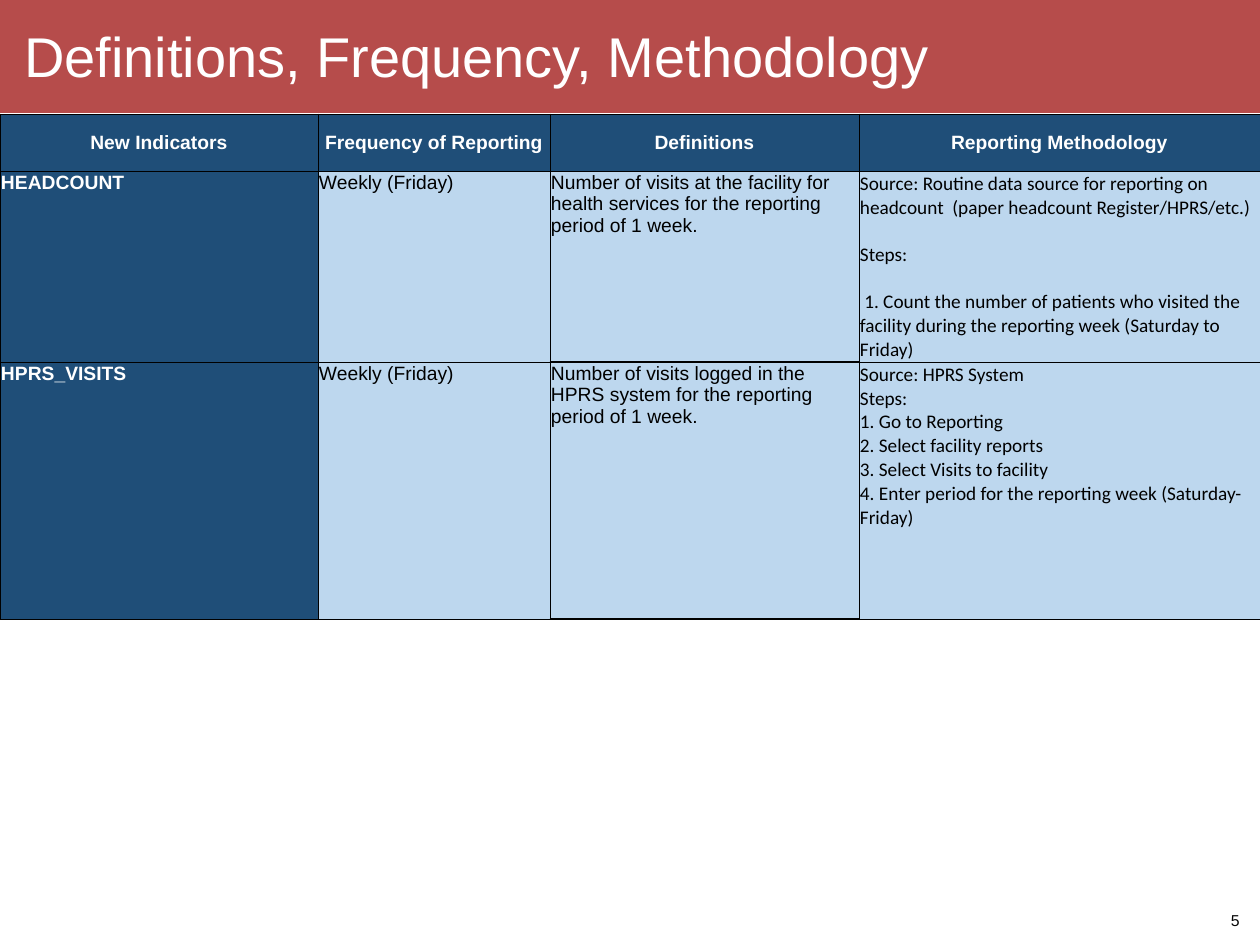
from dataclasses import dataclass

from lxml.etree import SubElement
from pptx import Presentation
from pptx.dml.color import RGBColor as RGB
from pptx.enum.shapes import MSO_SHAPE as Shape
from pptx.enum.text import MSO_ANCHOR as Anchor, PP_ALIGN as Align
from pptx.oxml.ns import qn
from pptx.util import Emu, Pt


@dataclass(frozen=True)
class Theme:
    band: str = "B64C4B"
    header: str = "1F4E78"
    body: str = "BDD7EE"
    light: str = "FFFFFF"
    dark: str = "000000"
    number: str = "060606"
    font: str = "Arial"
    method_font: str = "Calibri"
    title_size: int = 32
    table_size: int = 11
    number_size: int = 9
    step_gap: float = 13.5
    thin: float = 0.5
    thick: float = 1


T = Theme()
SLIDE_W, SLIDE_H = 1260, 945
COLUMNS = (318, 232, 309, 401)
ROWS = (57, 191, 257)
INDICATOR, FREQUENCY, DEFINITION, METHOD = range(4)
CELLS = [
    [["New Indicators"], ["Frequency of Reporting"], ["Definitions"],
     ["Reporting Methodology"]],
    [["HEADCOUNT"], ["Weekly (Friday)"],
     ["Number of visits at the facility for health services for the "
      "reporting period of 1 week."],
     ["Source: Routine data source for reporting on headcount  "
      "(paper headcount Register/HPRS/etc.)",
      "Steps:",
      " 1. Count the number of patients who visited the facility during "
      "the reporting week (Saturday to Friday)"]],
    [["HPRS_VISITS"], ["Weekly (Friday)"],
     ["Number of visits logged in the HPRS system for the reporting "
      "period of 1 week."],
     ["Source: HPRS System", "Steps:", "1. Go to Reporting",
      "2. Select facility reports", "3. Select Visits to facility",
      "4. Enter period for the reporting week (Saturday-Friday)"]],
]
SPACED_ROW = 1


def px(n):
    return Emu(round(n * 914400 / 126))


def place(sp, box):
    sp.left, sp.top, sp.width, sp.height = map(px, box)


def set_insets(target, left=0, top=0, right=0, bottom=0):
    target.margin_left, target.margin_top = px(left), px(top)
    target.margin_right, target.margin_bottom = px(right), px(bottom)


def add_run(p, text, size, color, font=T.font, bold=False):
    r = p.add_run()
    r.text = text
    r.font.name, r.font.size, r.font.bold = font, Pt(size), bold
    r.font.color.rgb = RGB.from_string(color)


def add_title(s, box, text):
    x, y, w, h = box
    title = s.shapes.title
    band = s.shapes.add_shape(Shape.RECTANGLE, *map(px, box))
    band.shadow.inherit = False
    band.fill.solid()
    band.fill.fore_color.rgb = RGB.from_string(T.band)
    band.line.fill.background()
    title.element.addprevious(band.element)
    place(title, (x + 24, y + 28, w - 52, h - 50))
    tf = title.text_frame
    set_insets(tf)
    tf.word_wrap = True
    tf.vertical_anchor = Anchor.MIDDLE
    p = tf.paragraphs[0]
    p.alignment, p.line_spacing = Align.LEFT, 0.9
    add_run(p, text, T.title_size, T.light)


def set_borders(cell, top, bottom):
    tc_pr = cell._tc.get_or_add_tcPr()
    for side, width in (("L", T.thin), ("R", T.thin), ("T", top), ("B", bottom)):
        ln = SubElement(tc_pr, qn(f"a:ln{side}"), w=str(Pt(width)))
        fill = SubElement(ln, qn("a:solidFill"))
        SubElement(fill, qn("a:srgbClr"), val=T.dark)


def fill_cell(cell, row, col, lines):
    header = row == 0
    strong = header or col == INDICATOR
    thick_bottom = col == DEFINITION and not header
    thick_top = thick_bottom and row > 1
    set_borders(cell, T.thick if thick_top else T.thin,
                T.thick if thick_bottom else T.thin)
    cell.fill.solid()
    cell.fill.fore_color.rgb = RGB.from_string(T.header if strong else T.body)
    set_insets(cell, 1, 1, 1)
    cell.vertical_anchor = Anchor.MIDDLE if header else Anchor.TOP
    font = T.method_font if col == METHOD and not header else T.font
    for i, line in enumerate(lines):
        tf = cell.text_frame
        p = tf.add_paragraph() if i else tf.paragraphs[0]
        p.alignment = Align.CENTER if header else Align.LEFT
        if i and row == SPACED_ROW:
            p.space_before = Pt(T.step_gap)
        add_run(p, line, T.table_size, T.light if strong else T.dark, font, strong)


def add_indicator_table(s, box):
    table = s.shapes.add_table(len(ROWS), len(COLUMNS), *map(px, box)).table
    for column, width in zip(table.columns, COLUMNS):
        column.width = px(width)
    for r, (row, height) in enumerate(zip(table.rows, ROWS)):
        row.height = px(height)
        for c, lines in enumerate(CELLS[r]):
            fill_cell(table.cell(r, c), r, c, lines)


def add_slide_number(s, box, number):
    tf = s.shapes.add_textbox(*map(px, box)).text_frame
    tf.word_wrap = True
    tf.vertical_anchor = Anchor.MIDDLE
    p = tf.paragraphs[0]
    p.alignment = Align.RIGHT
    add_run(p, number, T.number_size, T.number)


def main():
    prs = Presentation()
    prs.slide_width, prs.slide_height = px(SLIDE_W), px(SLIDE_H)
    s = prs.slides.add_slide(prs.slide_layouts[5])
    add_title(s, (0, 0, SLIDE_W, 113), "Definitions, Frequency, Methodology")
    add_indicator_table(s, (0, 114, sum(COLUMNS), sum(ROWS)))
    add_slide_number(s, (1192, 895, 60, 50), "5")
    prs.save("out.pptx")


if __name__ == "__main__":
    main()
